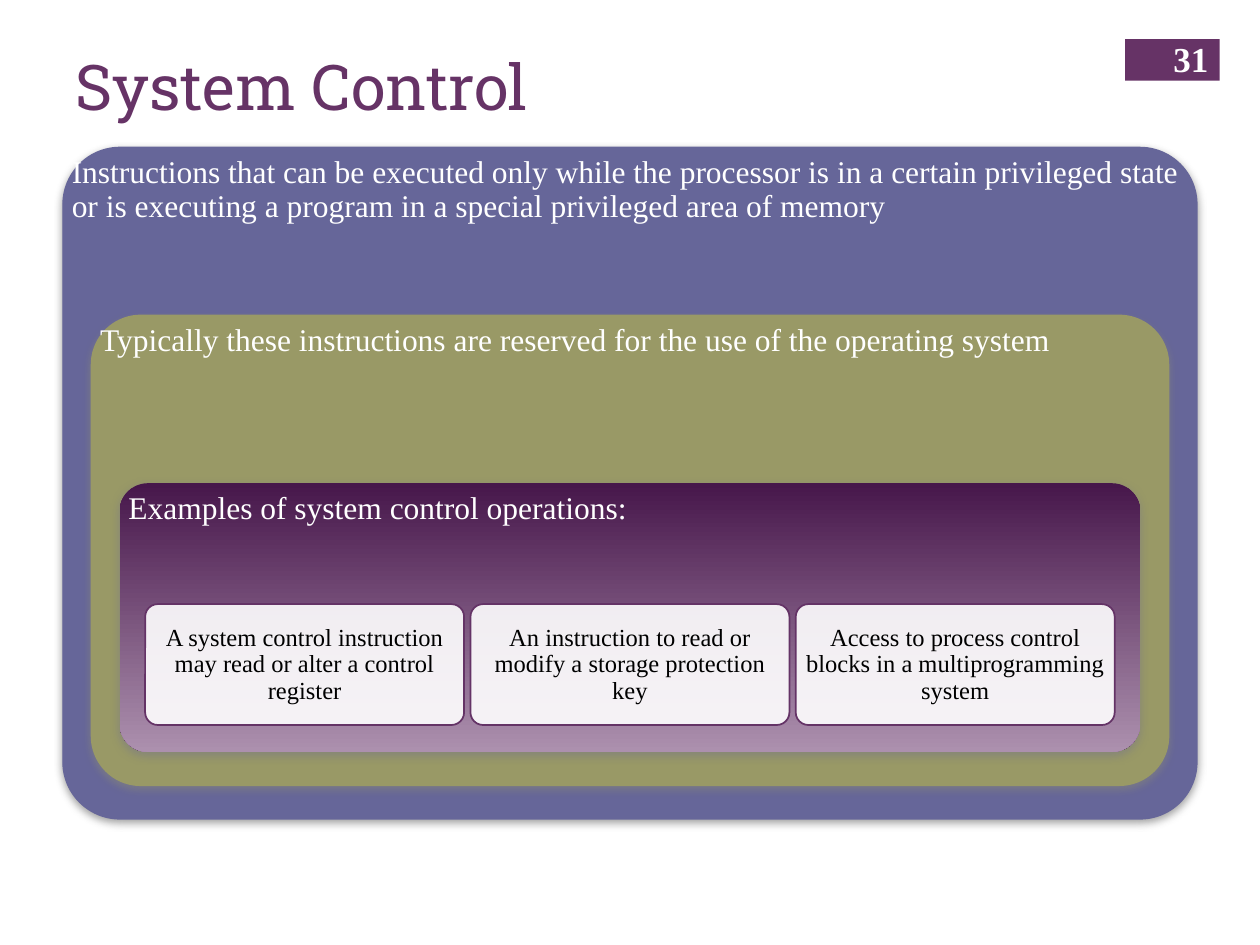
from collections import namedtuple
from dataclasses import dataclass

from lxml import etree
from pptx import Presentation
from pptx import util as u
from pptx.dml.color import RGBColor
from pptx.enum import shapes, text
from pptx.oxml import parse_xml
from pptx.oxml.ns import nsdecls, qn

W, H = 10, 7.5
Box = namedtuple("Box", "x y w h")


@dataclass(frozen=True)
class Theme:
    plum: str = "663366"
    card_edge: str = "643366"
    blue: str = "666699"
    olive: str = "999966"
    grad: tuple = ("47174B", "AC90AE")
    white: str = "FFFFFF"
    black: str = "000000"
    shadow: str = "808080"
    head: str = "Roboto Slab"
    body: str = "Times New Roman"
    title_pt: int = 36
    number_pt: int = 20
    panel_pt: int = 18
    card_pt: int = 14


T = Theme()
PANELS = [
    ("Instructions that can be executed only while the processor is in a certain "
     "privileged state or is executing a program in a special privileged area of memory",
     T.blue, 0.085),
    ("Typically these instructions are reserved for the use of the operating system",
     T.olive, 0.105),
    ("Examples of system control operations:", T.grad, 0.105),
]
CARDS = [
    "A system control instruction may read or alter a control register",
    "An instruction to read or modify a storage protection key",
    "Access to process control blocks in a multiprogramming system",
]


def share(box, x, y, w, h):
    """Box placed inside another by shares of its width and height."""
    return Box(box.x + x * box.w, box.y + y * box.h, w * box.w, h * box.h)


def inches(box):
    return [u.Inches(v) for v in box]


def add_text(s, box, words, size, color, font=T.body, bold=False, align="LEFT",
             anchor="TOP", inset=(0.1, 0.05), spacing=None):
    tf = s.shapes.add_textbox(*inches(box)).text_frame
    tf.word_wrap = True
    tf.vertical_anchor = text.MSO_ANCHOR[anchor]
    tf.margin_left = tf.margin_right = u.Inches(inset[0])
    tf.margin_top = tf.margin_bottom = u.Inches(inset[1])
    p = tf.paragraphs[0]
    p.alignment = text.PP_ALIGN[align]
    p.line_spacing = spacing
    r = p.add_run()
    r.text = words
    r.font.name, r.font.size, r.font.bold = font, u.Pt(size), bold
    r.font.color.rgb = RGBColor.from_string(color)


def add_block(s, box, fill, edge=None, edge_pt=0.75, radius=None):
    """Rectangle, rounded if a radius is given; a pair of fills is a gradient."""
    kind = "RECTANGLE" if radius is None else "ROUNDED_RECTANGLE"
    sp = s.shapes.add_shape(shapes.MSO_SHAPE[kind], *inches(box))
    sp.shadow.inherit = False
    if radius is not None:
        sp.adjustments[0] = radius
    if isinstance(fill, tuple):
        sp.fill.gradient()
        sp.fill.gradient_angle = 270
        for stop, color, position in zip(sp.fill.gradient_stops, fill, (0, 1)):
            stop.color.rgb = RGBColor.from_string(color)
            stop.position = position
    else:
        sp.fill.solid()
        sp.fill.fore_color.rgb = RGBColor.from_string(fill)
    if edge:
        sp.line.color.rgb = RGBColor.from_string(edge)
        sp.line.width = u.Pt(edge_pt)
    else:
        sp.line.fill.background()
    return sp


def cast_shadow(sp):
    effects = sp._element.spPr.find(qn("a:effectLst"))
    effects.append(parse_xml(
        f'<a:outerShdw {nsdecls("a")} blurRad="{u.Pt(5)}" dist="{u.Pt(2)}" '
        f'dir="5400000" rotWithShape="0"><a:srgbClr val="{T.shadow}">'
        '<a:alpha val="75000"/></a:srgbClr></a:outerShdw>'))


def set_opacity(sp, percent):
    color = sp._element.spPr.find(qn("a:solidFill"))[0]
    etree.SubElement(color, qn("a:alpha")).set("val", str(percent * 1000))


def header(s, box):
    add_text(s, share(box, 0.05, 0.21, 0.826, 0.79), "System Control",
             T.title_pt, T.plum, font=T.head)
    add_block(s, share(box, 0.893, 0.2, 0.075, 0.213), T.plum)
    add_text(s, share(box, 0.908, 0.168, 0.061, 0.26), "31", T.number_pt, T.white,
             bold=True, align="RIGHT", anchor="MIDDLE")


def card_row(s, box, gap=0.05):
    w = (box.w - gap * (len(CARDS) - 1)) / len(CARDS)
    for i, words in enumerate(CARDS):
        card = Box(box.x + i * (w + gap), box.y, w, box.h)
        sp = add_block(s, card, T.white, T.card_edge, 1, radius=0.105)
        set_opacity(sp, 90)
        add_text(s, card, words, T.card_pt, T.black, align="CENTER",
                 anchor="MIDDLE", inset=(0.06, 0.06), spacing=0.9)


def nested_panels(s, box):
    """Panels stepping inward, with the cards in the innermost one."""
    for i, (words, fill, radius) in enumerate(PANELS):
        panel = share(box, 0.025 * i, 0.25 * i, 1 - 0.05 * i, 1 - 0.3 * i)
        edge = fill if isinstance(fill, str) else None
        cast_shadow(add_block(s, panel, fill, edge, radius=radius))
        add_text(s, panel, words, T.panel_pt, T.white, inset=(0.07, 0.07), spacing=0.9)
    card_row(s, share(panel, 0.025, 0.45, 0.95, 0.45))


def main():
    prs = Presentation()
    prs.slide_width, prs.slide_height = u.Inches(W), u.Inches(H)
    s = prs.slides.add_slide(prs.slide_layouts[6])
    header(s, Box(0, 0, W, 1.55))
    nested_panels(s, Box(0.5, 1.17, 9, 5.33))
    prs.save("out.pptx")


if __name__ == "__main__":
    main()
